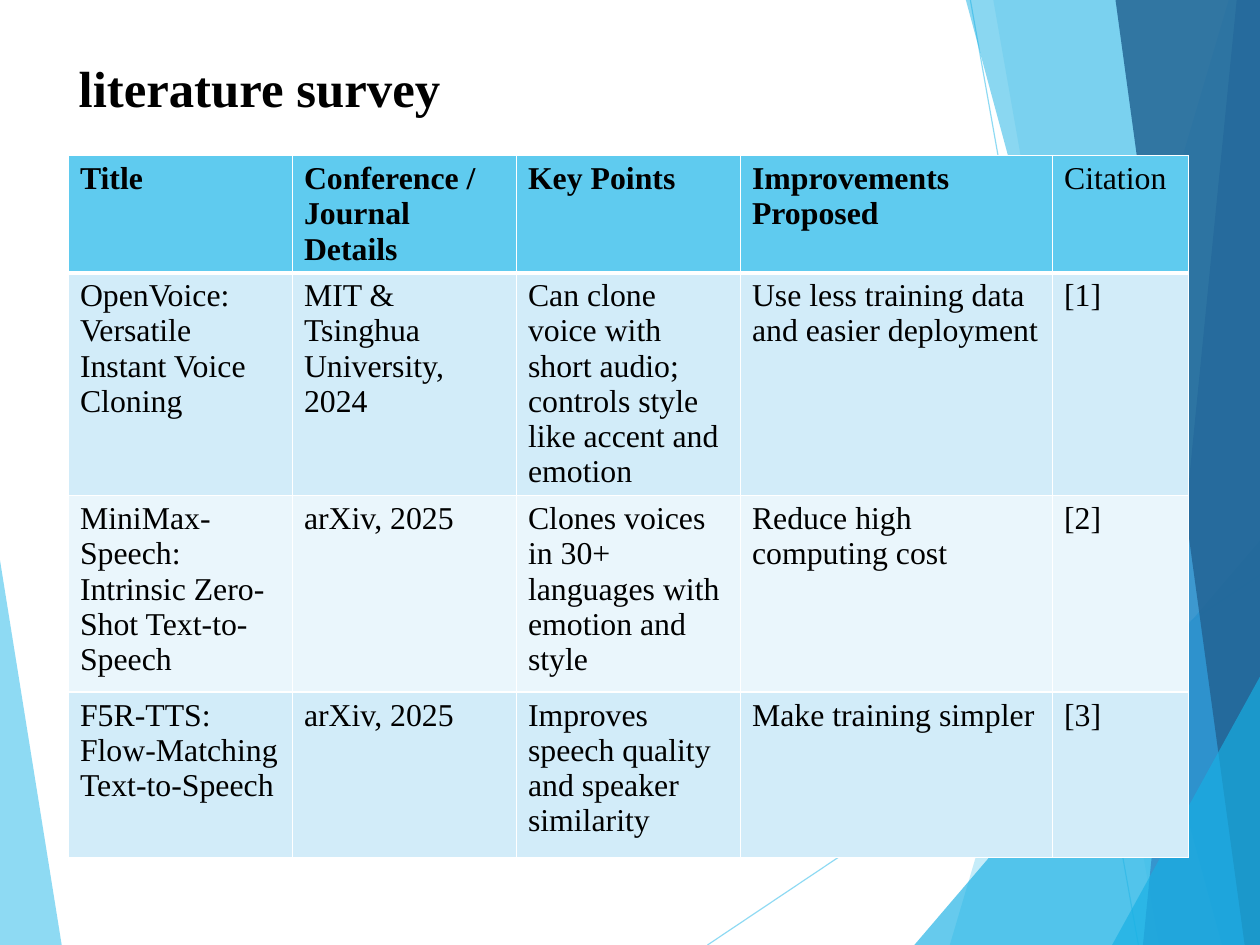
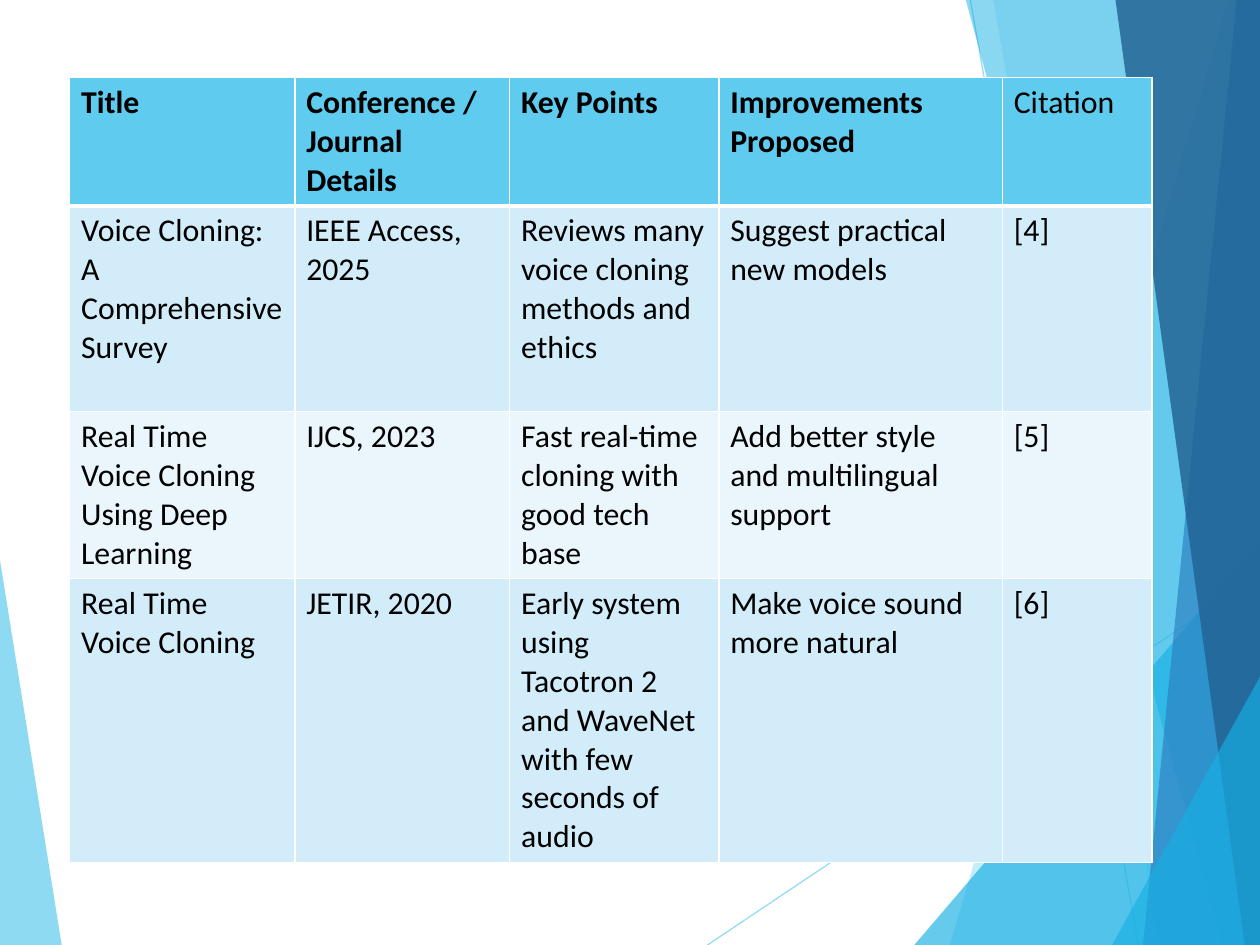
"""Build the two literature survey slides with their shared faceted backdrop."""
from dataclasses import dataclass

from lxml.etree import SubElement
from pptx import Presentation
from pptx.dml.color import RGBColor as Rgb
from pptx.enum.shapes import MSO_CONNECTOR as Connector
from pptx.oxml.ns import qn
from pptx.util import Cm, Inches, Pt


@dataclass(frozen=True)
class Theme:
    sky: str = "5FCBEF"
    cyan: str = "17B0E4"
    blue: str = "2E83C3"
    navy: str = "226292"
    bands: tuple = ("D2ECF9", "EAF6FC")
    ink: str = "000000"
    white: str = "FFFFFF"
    title_size: int = 32
    cell_size: int = 20
    hairline: float = 0.75
    border: int = 1
    header_border: int = 3
    serif: str = "Times New Roman"
    sans: str = "Calibri"


THEME = Theme()
SLIDE_SIZE = Cm(28), Cm(21)
WIDTH, HEIGHT = (length.inches for length in SLIDE_SIZE)

LEFT_FACET = (THEME.sky, 70, [(0, 4.9), (0.54, HEIGHT), (0, HEIGHT)])
RAYS = [((6.19, HEIGHT), (WIDTH, 5.03)), ((8.49, 0), (9.96, HEIGHT))]
RAY_ALPHA = 70
RIGHT_FACETS = [
    (THEME.sky, 36, 10.75, 8.31),
    (THEME.sky, 20, 8.69, 10.14),
    (THEME.cyan, 66, (WIDTH, 4.73), 8),
    (THEME.cyan, 50, 8.45, 10.69),
    (THEME.blue, 70, 10.82, 10),
    (THEME.navy, 82, 9.76, 10.89),
    (THEME.cyan, 66, (WIDTH, 5.92), 9.73),
]

HEADERS = ["Title", "Conference / Journal Details", "Key Points", "Improvements Proposed", "Citation"]
SURVEYS = [
    {
        "title": "literature survey",
        "font": THEME.serif,
        "corner": (0.6, 1.36),
        "columns": [1.96, 1.96, 1.96, 2.73, 1.19],
        "rows": [1.02, 1.95, 1.72, 1.45],
        "papers": [
            ("OpenVoice: Versatile Instant Voice Cloning", "MIT & Tsinghua University, 2024",
             "Can clone voice with short audio; controls style like accent and emotion",
             "Use less training data and easier deployment", "[1]"),
            ("MiniMax-Speech: Intrinsic Zero-Shot Text-to-Speech", "arXiv, 2025",
             "Clones voices in 30+ languages with emotion and style",
             "Reduce high computing cost", "[2]"),
            ("F5R-TTS: Flow-Matching Text-to-Speech", "arXiv, 2025",
             "Improves speech quality and speaker similarity", "Make training simpler", "[3]"),
        ],
    },
    {
        "title": None,
        "font": THEME.sans,
        "corner": (0.61, 0.68),
        "columns": [1.97, 1.88, 1.83, 2.48, 1.31],
        "rows": [1.12, 1.8, 1.46, 2.47],
        "papers": [
            ("Voice Cloning: A Comprehensive Survey", "IEEE Access, 2025",
             "Reviews many voice cloning methods and ethics", "Suggest practical new models", "[4]"),
            ("Real Time Voice Cloning Using Deep Learning", "IJCS, 2023",
             "Fast real-time cloning with good tech base",
             "Add better style and multilingual support", "[5]"),
            ("Real Time Voice Cloning", "JETIR, 2020",
             "Early system using Tacotron 2 and WaveNet with few seconds of audio",
             "Make voice sound more natural", "[6]"),
        ],
    },
]


def set_alpha(shape, percent):
    color = shape.element.spPr.find(".//" + qn("a:srgbClr"))
    SubElement(color, qn("a:alpha"), val=str(percent * 1000))


def add_facet(page, color, alpha, corners):
    points = [(Inches(x), Inches(y)) for x, y in corners]
    builder = page.shapes.build_freeform(*points[0])
    builder.add_line_segments(points[1:], close=True)
    facet = builder.convert_to_shape()
    facet.shadow.inherit = False
    facet.fill.solid()
    facet.fill.fore_color.rgb = Rgb.from_string(color)
    set_alpha(facet, alpha)
    facet.line.fill.background()


def add_ray(page, start, end):
    ray = page.shapes.add_connector(Connector.STRAIGHT, *map(Inches, start + end))
    ray.line.color.rgb = Rgb.from_string(THEME.sky)
    ray.line.width = Pt(THEME.hairline)
    set_alpha(ray, RAY_ALPHA)
    SubElement(ray.element.spPr, qn("a:effectLst"))


def add_backdrop(page):
    add_facet(page, *LEFT_FACET)
    for start, end in RAYS:
        add_ray(page, start, end)
    for color, alpha, top, bottom in RIGHT_FACETS:
        if isinstance(top, tuple):
            upper = [top]
        else:
            upper = [(WIDTH, 0), (top, 0)]
        add_facet(page, color, alpha, upper + [(bottom, HEIGHT), (WIDTH, HEIGHT)])


def style_text(paragraph, font, size, bold):
    for span in paragraph.runs:
        span.font.name = font
        span.font.size = Pt(size)
        span.font.bold = bold
        span.font.color.rgb = Rgb.from_string(THEME.ink)


def set_borders(cell, top, bottom):
    widths = {"L": THEME.border, "R": THEME.border, "T": top, "B": bottom}
    properties = cell._tc.get_or_add_tcPr()
    for side, width in widths.items():
        line = SubElement(properties, qn("a:ln" + side), w=str(Pt(width)))
        fill = SubElement(line, qn("a:solidFill"))
        SubElement(fill, qn("a:srgbClr"), val=THEME.white)


def add_survey_table(page, survey):
    columns, heights = survey["columns"], survey["rows"]
    bounds = (*survey["corner"], sum(columns), sum(heights))
    table = page.shapes.add_table(len(heights), len(columns), *map(Inches, bounds)).table
    for column, width in zip(table.columns, columns):
        column.width = Inches(width)
    for row, height in zip(table.rows, heights):
        row.height = Inches(height)
    for row_index, texts in enumerate([HEADERS, *survey["papers"]]):
        is_header = row_index == 0
        color = THEME.sky if is_header else THEME.bands[(row_index - 1) % 2]
        top = THEME.header_border if row_index == 1 else THEME.border
        bottom = THEME.header_border if is_header else THEME.border
        for column_index, text in enumerate(texts):
            cell = table.cell(row_index, column_index)
            cell.text_frame.text = text
            bold = is_header and text != "Citation"
            style_text(cell.text_frame.paragraphs[0], survey["font"], THEME.cell_size, bold)
            set_borders(cell, top, bottom)
            cell.fill.solid()
            cell.fill.fore_color.rgb = Rgb.from_string(color)


def add_title(page, text):
    box = page.shapes.add_textbox(*map(Inches, (0.59, 0.45, 5.22, 0.64)))
    box.text_frame.word_wrap = True
    box.text_frame.text = text
    style_text(box.text_frame.paragraphs[0], THEME.serif, THEME.title_size, True)


def main():
    deck = Presentation()
    deck.slide_width, deck.slide_height = SLIDE_SIZE
    for survey in SURVEYS:
        page = deck.slides.add_slide(deck.slide_layouts[6])
        add_backdrop(page)
        add_survey_table(page, survey)
        if survey["title"]:
            add_title(page, survey["title"])
    deck.save("out.pptx")


if __name__ == "__main__":
    main()
